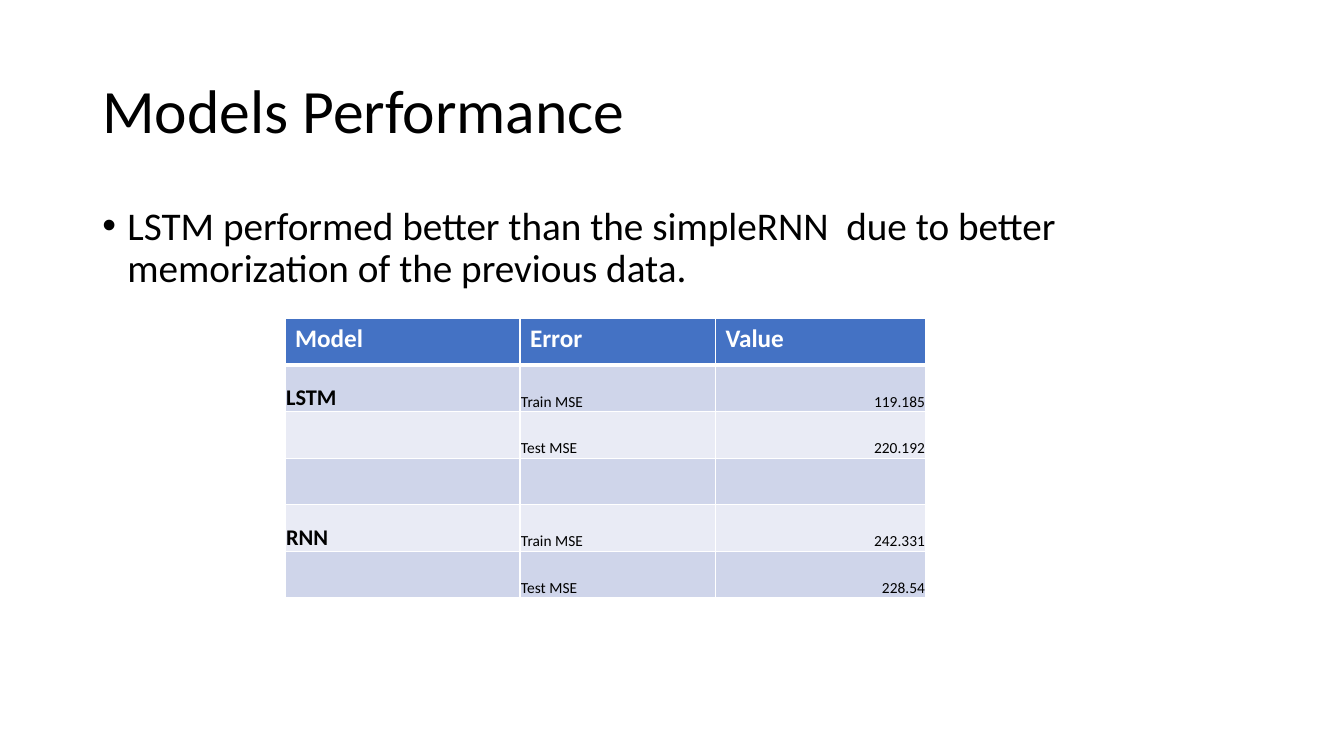
from lxml.etree import SubElement
from pptx import Presentation
from pptx.dml.color import RGBColor
from pptx.enum.text import MSO_ANCHOR, PP_ALIGN
from pptx.oxml.ns import qn
from pptx.util import Pt

HEADERS = ["Model", "Error", "Value"]
RESULTS = [
    ["LSTM", "Train MSE", "119.185"],
    ["", "Test MSE", "220.192"],
    ["", "", ""],
    ["RNN", "Train MSE", "242.331"],
    ["", "Test MSE", "228.54"],
]
COLUMN_WIDTHS = [167.8, 139.7, 150.4]
ROW_HEIGHT = 33.2
BANDS = ["CFD5EA", "E9EBF5"]


def color(hex_code):
    return RGBColor.from_string(hex_code)


def style_font(paragraph, size, hex_code="000000", bold=False):
    paragraph.font.name = "Calibri"
    paragraph.font.size = Pt(size)
    paragraph.font.bold = bold
    paragraph.font.color.rgb = color(hex_code)


def add_text(slide, box, text, size, anchor):
    frame = slide.shapes.add_textbox(*map(Pt, box)).text_frame
    frame.word_wrap = True
    frame.vertical_anchor = anchor
    paragraph = frame.paragraphs[0]
    paragraph.text = text
    paragraph.line_spacing = 0.9
    style_font(paragraph, size)
    return paragraph


def add_title(slide, box):
    add_text(slide, box, "Models Performance", 44, MSO_ANCHOR.MIDDLE)


def add_finding(slide, box):
    finding = add_text(
        slide, box,
        "LSTM performed better than the simpleRNN  due to better memorization of the previous data.",
        28, MSO_ANCHOR.TOP)
    finding.space_before = Pt(10)
    properties = finding._p.get_or_add_pPr()
    properties.set("marL", str(Pt(18)))
    properties.set("indent", str(Pt(-18)))
    SubElement(properties, qn("a:buFont"), typeface="Arial")
    SubElement(properties, qn("a:buChar"), char="•")


def add_borders(cell, top, bottom):
    properties = cell._tc.get_or_add_tcPr()
    for side, width in {"L": 1, "R": 1, "T": top, "B": bottom}.items():
        line = SubElement(properties, qn(f"a:ln{side}"), w=str(Pt(width)))
        SubElement(SubElement(line, qn("a:solidFill")), qn("a:srgbClr"), val="FFFFFF")


def fill_cell(cell, text, row, column):
    add_borders(cell, 3 if row == 1 else 1, 3 if row == 0 else 1)
    cell.fill.solid()
    cell.fill.fore_color.rgb = color(BANDS[(row - 1) % 2] if row else "4472C4")
    cell.text = text
    paragraph = cell.text_frame.paragraphs[0]
    if row == 0:
        style_font(paragraph, 18, "FFFFFF", True)
        return
    style_font(paragraph, 11 if column else 16, bold=column == 0)
    if text:
        cell.vertical_anchor = MSO_ANCHOR.BOTTOM
        cell.margin_left = cell.margin_right = cell.margin_top = Pt(0.75)
        cell.margin_bottom = Pt(0)
        if column == 2:
            paragraph.alignment = PP_ALIGN.RIGHT


def add_results(slide, left, top):
    rows = [HEADERS] + RESULTS
    size = sum(COLUMN_WIDTHS), ROW_HEIGHT * len(rows)
    table = slide.shapes.add_table(
        len(rows), len(HEADERS), *map(Pt, (left, top, *size))).table
    for column, width in zip(table.columns, COLUMN_WIDTHS):
        column.width = Pt(width)
    for r, values in enumerate(rows):
        table.rows[r].height = Pt(ROW_HEIGHT)
        for c, value in enumerate(values):
            fill_cell(table.cell(r, c), value, r, c)


def main():
    deck = Presentation()
    deck.slide_width, deck.slide_height = Pt(960), Pt(540)
    slide = deck.slides.add_slide(deck.slide_layouts[6])
    add_title(slide, (66, 28.75, 828, 104.4))
    add_finding(slide, (66, 143.75, 828, 342.6))
    add_results(slide, 203.6, 227.7)
    deck.save("out.pptx")


if __name__ == "__main__":
    main()
